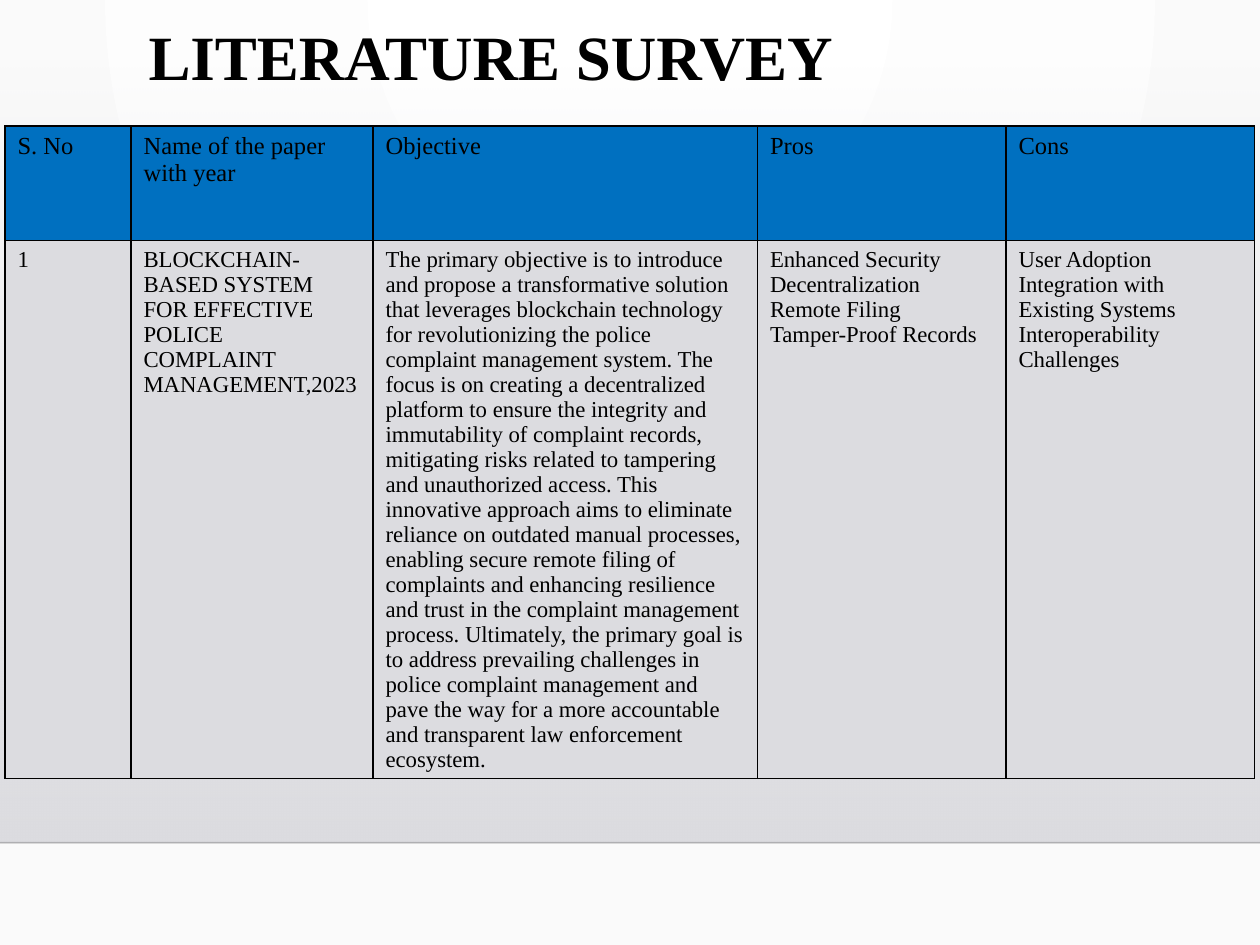
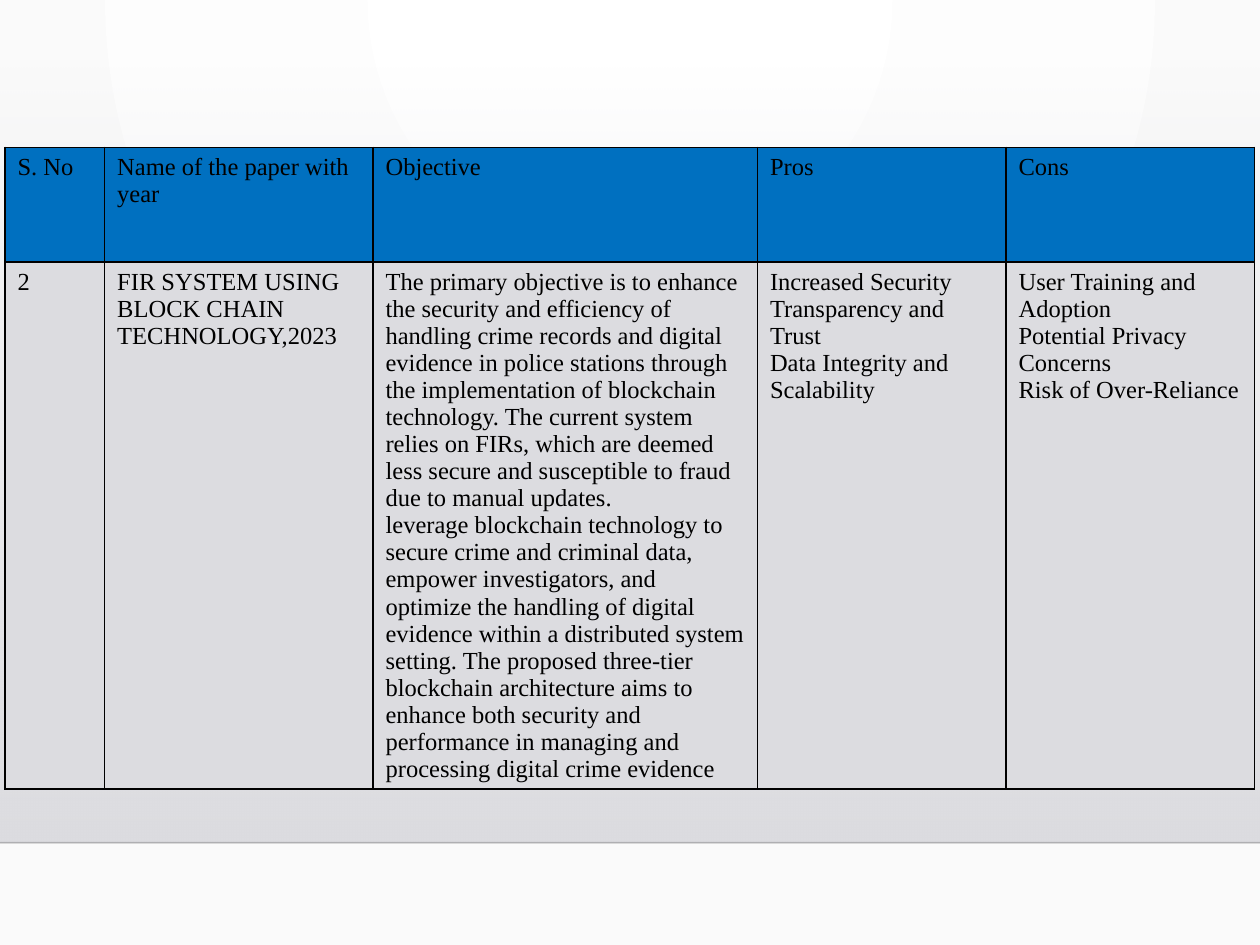
"""Build two literature survey slides, each with one comparison table."""
from dataclasses import dataclass

from pptx import Presentation
from pptx.dml.color import RGBColor
from pptx.enum.shapes import MSO_CONNECTOR, MSO_SHAPE
from pptx.enum.text import MSO_ANCHOR, MSO_AUTO_SIZE, PP_ALIGN
from pptx.oxml import parse_xml
from pptx.oxml.ns import nsdecls, qn
from pptx.util import Cm, Pt

RECTANGLE = MSO_SHAPE.RECTANGLE
STRAIGHT = MSO_CONNECTOR.STRAIGHT
LEFT = PP_ALIGN.LEFT
MIDDLE = MSO_ANCHOR.MIDDLE
NO_AUTOFIT = MSO_AUTO_SIZE.NONE
TITLE_ONLY, BLANK = 5, 6

HEADERS = ["S. No", "Name of the paper with year", "Objective", "Pros", "Cons"]

SURVEYS = [
    {
        "title": "LITERATURE SURVEY",
        "top": 2.54,
        "first_widths": [2.54, 4.88],
        "entry_height": 10.82,
        "entry_size": 13,
        "entry": [
            ["1"],
            ["BLOCKCHAIN-BASED SYSTEM FOR EFFECTIVE POLICE COMPLAINT MANAGEMENT,2023"],
            ["The primary objective is to introduce and propose a transformative solution "
             "that leverages blockchain technology for revolutionizing the police complaint "
             "management system. The focus is on creating a decentralized platform to ensure "
             "the integrity and immutability of complaint records, mitigating risks related "
             "to tampering and unauthorized access. This innovative approach aims to "
             "eliminate reliance on outdated manual processes, enabling secure remote filing "
             "of complaints and enhancing resilience and trust in the complaint management "
             "process. Ultimately, the primary goal is to address prevailing challenges in "
             "police complaint management and pave the way for a more accountable and "
             "transparent law enforcement ecosystem."],
            ["Enhanced Security", "Decentralization", "Remote Filing",
             "Tamper-Proof Records"],
            ["User Adoption", "Integration with Existing Systems",
             "Interoperability Challenges"],
        ],
    },
    {
        "title": None,
        "top": 2.97,
        "first_widths": [2.01, 5.41],
        "entry_height": 10.62,
        "entry_size": 14,
        "entry": [
            ["2"],
            ["FIR SYSTEM USING BLOCK CHAIN TECHNOLOGY,2023"],
            ["The primary objective is to enhance the security and efficiency of handling "
             "crime records and digital evidence in police stations through the "
             "implementation of blockchain technology. The current system relies on FIRs, "
             "which are deemed less secure and susceptible to fraud due to manual updates.",
             "leverage blockchain technology to secure crime and criminal data, empower "
             "investigators, and optimize the handling of digital evidence within a "
             "distributed system setting. The proposed three-tier blockchain architecture "
             "aims to enhance both security and performance in managing and processing "
             "digital crime evidence"],
            ["Increased Security", "Transparency and Trust",
             "Data Integrity and Scalability"],
            ["User Training and Adoption", "Potential Privacy Concerns",
             "Risk of Over-Reliance"],
        ],
    },
]


@dataclass(frozen=True)
class Theme:
    font: str = "Times New Roman"
    text: str = "000000"
    header_fill: str = "0070C0"
    entry_fill: str = "DCDCE0"
    background: tuple = (("FFFFFF", 100), ("FAFAFA", 100))
    band: tuple = (("DCDCE0", 0), ("DEDEE2", 100))
    rule: str = "000001"
    rule_opacity: int = 20
    title_size: int = 36
    header_size: int = 14
    border_width: int = 1


THEME = Theme()
SLIDE_WIDTH, SLIDE_HEIGHT = 25.4, 19.05
BAND_TOP, BAND_BOTTOM = 1.3, 16.99
TITLE_BOX = (2.74, 0.43, 18.26, 1.57)
TABLE_LEFT = 0.1
LAST_WIDTHS = [7.75, 5.01, 5.01]
HEADER_HEIGHT = 2.31
RADIAL = ('<a:path path="circle"><a:fillToRect l="43000" t="0" r="43000" b="100000"/>'
          '</a:path>')
DOWNWARD = '<a:lin ang="5400000" scaled="0"/>'


def write_text(text_frame, paragraphs, *, size, bold=False, line_spacing=None):
    for index, text in enumerate(paragraphs):
        paragraph = text_frame.add_paragraph() if index else text_frame.paragraphs[0]
        paragraph.alignment = LEFT
        paragraph.line_spacing = line_spacing
        run = paragraph.add_run()
        run.text = text
        run.font.name = THEME.font
        run.font.size = Pt(size)
        run.font.bold = bold
        run.font.color.rgb = RGBColor.from_string(THEME.text)


def apply_gradient(fill, element, stops, direction):
    fill.gradient()
    placeholder_fill = next(element.iter(qn("a:gradFill")))
    stop_xml = "".join(
        f'<a:gs pos="{position}"><a:srgbClr val="{color}">'
        f'<a:alpha val="{opacity * 1000}"/></a:srgbClr></a:gs>'
        for position, (color, opacity) in zip((0, 100000), stops))
    gradient = parse_xml(f'<a:gradFill {nsdecls("a")} rotWithShape="1">'
                         f'<a:gsLst>{stop_xml}</a:gsLst>{direction}</a:gradFill>')
    placeholder_fill.getparent().replace(placeholder_fill, gradient)


def decorate_master(master, slide):
    apply_gradient(master.background.fill, master.element, THEME.background, RADIAL)

    band = slide.shapes.add_shape(RECTANGLE, 0, Cm(BAND_TOP), Cm(SLIDE_WIDTH),
                                  Cm(BAND_BOTTOM - BAND_TOP))
    band.shadow.inherit = False
    band.line.fill.background()
    apply_gradient(band.fill, band.element, THEME.band, DOWNWARD)

    rule = slide.shapes.add_connector(STRAIGHT, 0, Cm(BAND_BOTTOM), Cm(SLIDE_WIDTH),
                                      Cm(BAND_BOTTOM))
    rule.line.width = Pt(1)
    rule.line.color.rgb = RGBColor.from_string(THEME.rule)
    color = next(rule.element.iter(qn("a:srgbClr")))
    color.append(parse_xml(f'<a:alpha {nsdecls("a")} val="{THEME.rule_opacity * 1000}"/>'))
    rule.element.spPr.append(parse_xml(f'<a:effectLst {nsdecls("a")}/>'))

    for offset, shape in enumerate((band, rule)):
        next(shape.element.iter(qn("p:cNvPr"))).set("id", str(101 + offset))
        master.shapes.element.insert(2 + offset, shape.element)


def add_title(slide, text):
    title = slide.shapes.title
    title.left, title.top, title.width, title.height = map(Cm, TITLE_BOX)
    title.text_frame.auto_size = NO_AUTOFIT
    title.text_frame.vertical_anchor = MIDDLE
    write_text(title.text_frame, [text], size=THEME.title_size, bold=True,
               line_spacing=0.9)


def add_borders(frame):
    for properties in frame.element.iter(qn("a:tcPr")):
        for index, side in enumerate(("lnL", "lnR", "lnT", "lnB")):
            properties.insert(index, parse_xml(
                f'<a:{side} {nsdecls("a")} w="{Pt(THEME.border_width)}"><a:solidFill>'
                f'<a:srgbClr val="{THEME.text}"/></a:solidFill></a:{side}>'))


def add_survey_table(slide, survey):
    widths = survey["first_widths"] + LAST_WIDTHS
    heights = [HEADER_HEIGHT, survey["entry_height"]]
    frame = slide.shapes.add_table(len(heights), len(widths), Cm(TABLE_LEFT),
                                   Cm(survey["top"]), Cm(sum(widths)), Cm(sum(heights)))
    table = frame.table
    table.first_row = table.horz_banding = False
    for column, width in zip(table.columns, widths):
        column.width = Cm(width)
    rows = [
        ([[header] for header in HEADERS], THEME.header_size, THEME.header_fill),
        (survey["entry"], survey["entry_size"], THEME.entry_fill),
    ]
    for row, height, (contents, size, fill) in zip(table.rows, heights, rows):
        row.height = Cm(height)
        for cell, paragraphs in zip(row.cells, contents):
            cell.fill.solid()
            cell.fill.fore_color.rgb = RGBColor.from_string(fill)
            write_text(cell.text_frame, paragraphs, size=size)
    add_borders(frame)


def main():
    presentation = Presentation()
    presentation.slide_width, presentation.slide_height = Cm(SLIDE_WIDTH), Cm(SLIDE_HEIGHT)
    for survey in SURVEYS:
        layout = TITLE_ONLY if survey["title"] else BLANK
        slide = presentation.slides.add_slide(presentation.slide_layouts[layout])
        if survey["title"]:
            add_title(slide, survey["title"])
        add_survey_table(slide, survey)
    decorate_master(presentation.slide_master, presentation.slides[0])
    presentation.save("out.pptx")


if __name__ == "__main__":
    main()
